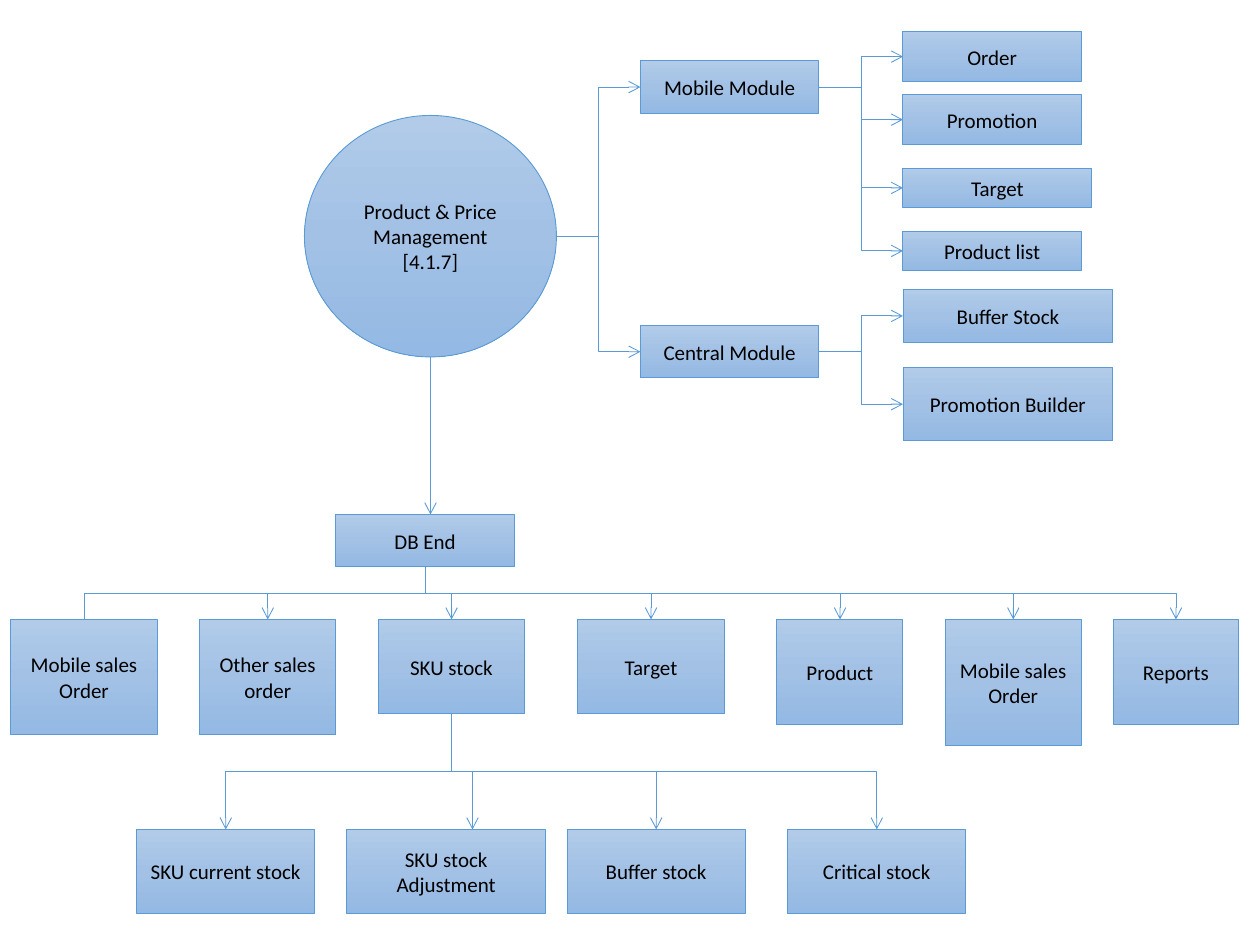
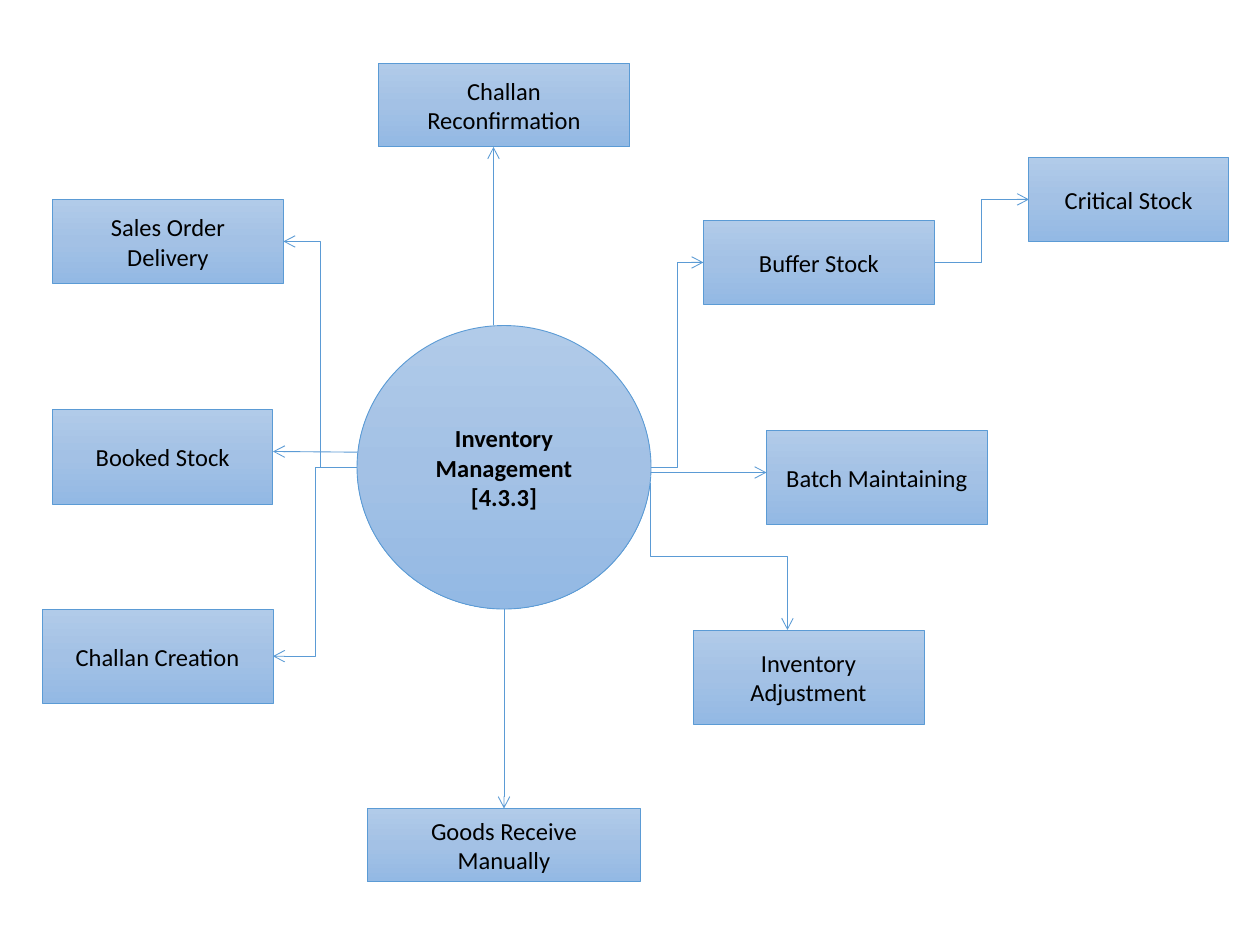
"""Build two flow charts: product and price management, and inventory management."""
from copy import deepcopy

from lxml.etree import SubElement
from pptx import Presentation
from pptx.dml.color import RGBColor
from pptx.enum.shapes import MSO_CONNECTOR, MSO_SHAPE
from pptx.enum.text import MSO_ANCHOR, PP_ALIGN
from pptx.oxml.ns import qn
from pptx.util import Pt

FONT = "Calibri"
BLACK = RGBColor(0x00, 0x00, 0x00)
BLUE = RGBColor(0x5B, 0x9B, 0xD5)
SHADES = [
    (0, RGBColor(0xB1, 0xCB, 0xE9)),
    (0.5, RGBColor(0xA3, 0xC1, 0xE5)),
    (1, RGBColor(0x93, 0xB9, 0xE4)),
]
THIN = 0.5

PRICE_HUB = ("Product & Price Management\n[4.1.7]", 174, 66, 144, 138)
MODULES = [
    (("Mobile Module", 366, 34.8, 102, 30), [
        ("Order", 516, 18, 102, 28.8),
        ("Promotion", 516, 54, 102, 28.8),
        ("Target", 516, 96, 108, 22.8),
        ("Product list", 516, 132, 102, 22.8),
    ]),
    (("Central Module", 366, 186, 102, 30), [
        ("Buffer Stock", 516, 165.6, 120, 30),
        ("Promotion Builder", 516, 210, 120, 42),
    ]),
]
DB_END = ("DB End", 192, 294, 102, 30)
TABLES = [
    ("Mobile sales Order", 6, 354, 84, 66),
    ("Other sales order", 114, 354, 78, 66),
    ("SKU stock", 216, 354, 84, 54),
    ("Target", 330, 354, 84, 54),
    ("Product", 444, 354, 72, 60),
    ("Mobile sales Order", 540, 354, 78, 72),
    ("Reports", 636, 354, 72, 60),
]
STOCKS = [
    ("SKU current stock", 78, 474, 102, 48),
    ("SKU stock Adjustment", 198, 474, 114, 48),
    ("Buffer stock", 324, 474, 102, 48),
    ("Critical stock", 450, 474, 102, 48),
]
STOCK_SHIFT = {"SKU stock Adjustment": 15}

STORE_HUB = ("Inventory\nManagement\n[4.3.3]", 204, 186, 168, 162)
STORE = [
    ("Challan\nReconfirmation", 216, 36, 144, 48),
    ("Goods Receive\nManually", 210, 462, 156, 42),
    ("Sales Order\nDelivery", 30, 114, 132, 48),
    ("Booked Stock", 30, 234, 126, 54),
    ("Challan Creation", 24, 348, 132, 54),
    ("Buffer Stock", 402, 126, 132, 48),
    ("Batch Maintaining", 438, 246, 126, 54),
    ("Inventory Adjustment", 396, 360, 132, 54),
    ("Critical Stock", 588, 90, 114, 48),
]
STORE_LINKS = [
    ("straight", (288, 348), (288, 462)),
    ("straight", (282, 186), (282, 84)),
    ("straight", (204, 258.4), (156, 258)),
    ("straight", (372, 270), (438, 270)),
    ("across", (204, 267), (162, 138)),
    ("across", (204, 267), (156, 375)),
    ("across", (372, 267), (402, 150)),
    ("across", (534, 150), (588, 114)),
    ("down", (372, 276), (450, 360)),
]


def node(slide, item, size, form=MSO_SHAPE.RECTANGLE, bold=False):
    text, *place = item
    shape = slide.shapes.add_shape(form, *map(Pt, place))
    shape.shadow.inherit = False
    shape.line.color.rgb = BLUE
    shape.line.width = Pt(THIN)
    shape.fill.gradient()
    shape.fill.gradient_angle = 270
    stops = shape._element.spPr.find(".//" + qn("a:gsLst"))
    stops.insert(1, deepcopy(stops[0]))
    for stop, (pos, shade) in zip(shape.fill.gradient_stops, SHADES):
        stop.position = pos
        stop.color.rgb = shade
    frame = shape.text_frame
    frame.word_wrap = True
    frame.vertical_anchor = MSO_ANCHOR.MIDDLE
    for i, words in enumerate(text.split("\n")):
        para = frame.add_paragraph() if i else frame.paragraphs[0]
        para.alignment = PP_ALIGN.CENTER
        run = para.add_run()
        run.text = words
        run.font.name = FONT
        run.font.size = Pt(size)
        run.font.bold = bold
        run.font.color.rgb = BLACK


def link(slide, turn, start, end, head=True):
    (x1, y1), (x2, y2) = start, end
    if turn == "down":
        midx, midy = (x1 + x2) / 2, (y1 + y2) / 2
        side = 1 if x2 > x1 else -1
        long, wide = (y2 - y1) / 2, abs(x2 - x1) / 2
        x1, x2 = midx + side * long, midx - side * long
        y1, y2 = midy - wide, midy + wide
    kind = MSO_CONNECTOR.STRAIGHT if turn == "straight" else MSO_CONNECTOR.ELBOW
    line = slide.shapes.add_connector(kind, *map(Pt, (x1, y1, x2, y2)))
    line.line.color.rgb = BLUE
    line.line.width = Pt(THIN)
    props = line._element.spPr
    if turn == "down":
        props.find(qn("a:xfrm")).set("rot", str((270 if side > 0 else 90) * 60000))
    if head:
        SubElement(props.find(qn("a:ln")), qn("a:tailEnd"), type="arrow")
    SubElement(props, qn("a:effectLst"))


def left(item):
    _, x, y, w, h = item
    return x, y + h / 2


def right(item):
    _, x, y, w, h = item
    return x + w, y + h / 2


def top(item, shift=0):
    _, x, y, w, h = item
    return x + w / 2 + shift, y


def base(item):
    _, x, y, w, h = item
    return x + w / 2, y + h


def price(slide):
    node(slide, PRICE_HUB, 12, MSO_SHAPE.OVAL)
    for unit, parts in MODULES:
        node(slide, unit, 12)
        link(slide, "across", right(PRICE_HUB), left(unit))
        for part in parts:
            node(slide, part, 12)
            link(slide, "across", right(unit), left(part))
    node(slide, DB_END, 12)
    hub = base(PRICE_HUB)
    link(slide, "straight", hub, (hub[0], DB_END[2]))
    for table in TABLES:
        node(slide, table, 12)
        link(slide, "down", base(DB_END), top(table), table is not TABLES[0])
    for stock in STOCKS:
        node(slide, stock, 12)
        goal = top(stock, STOCK_SHIFT.get(stock[0], 0))
        link(slide, "down", base(TABLES[2]), goal)


def store(slide):
    node(slide, STORE_HUB, 14, MSO_SHAPE.OVAL, True)
    for item in STORE:
        node(slide, item, 14)
    for turn, start, end in STORE_LINKS:
        link(slide, turn, start, end)


deck = Presentation()
deck.slide_width, deck.slide_height = Pt(720), Pt(540)
for draw in (price, store):
    draw(deck.slides.add_slide(deck.slide_layouts[6]))
deck.save("out.pptx")
